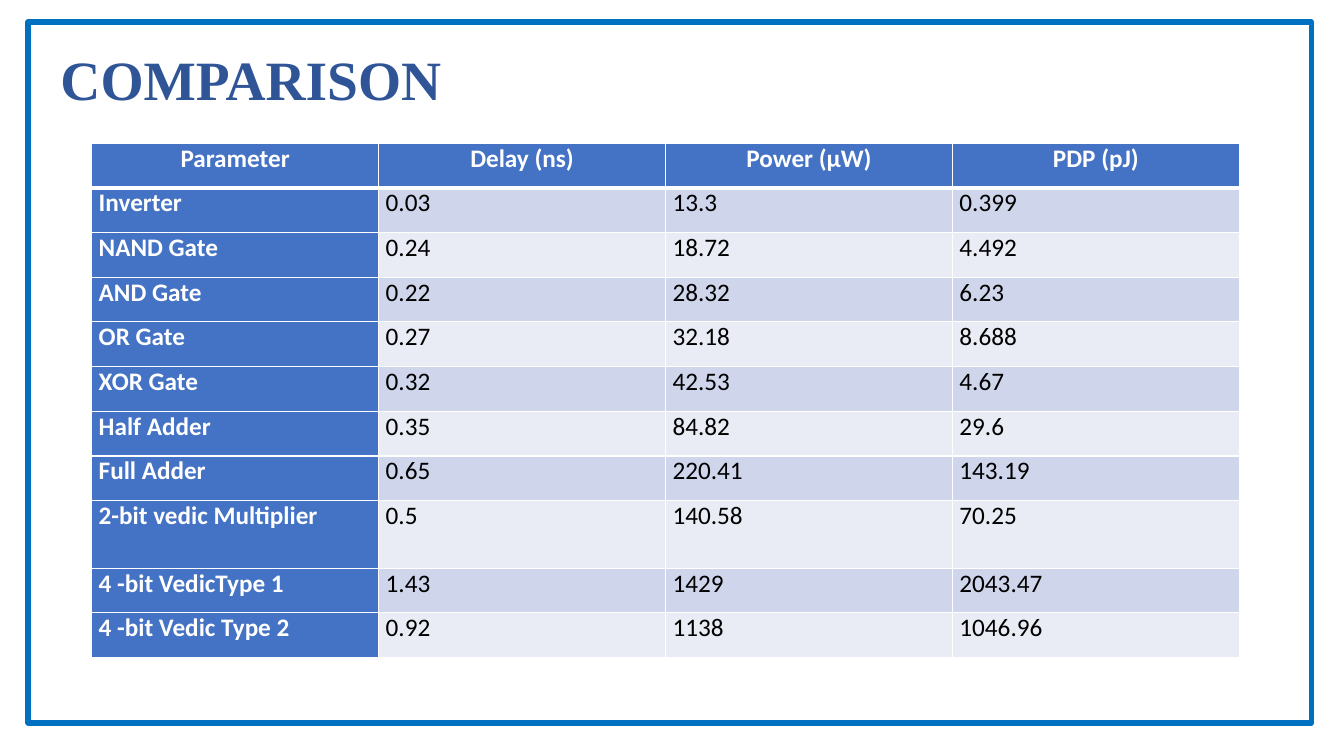
from dataclasses import dataclass

from lxml.etree import SubElement
from pptx import Presentation
from pptx.dml.color import RGBColor
from pptx.enum.shapes import MSO_SHAPE
from pptx.enum.text import MSO_ANCHOR, MSO_AUTO_SIZE, PP_ALIGN
from pptx.oxml.ns import qn
from pptx.util import Pt

PX = 3048  # EMU per px, 300 px to the inch

COLORS = {
    "title": "2F5597", "frame": "0070C0", "head": "4472C4", "odd": "CFD5EA",
    "even": "E9EBF5", "white": "FFFFFF", "black": "000000",
}
TITLE_FONT = {"name": "Times New Roman", "size": Pt(39.6), "bold": True}
HEAD_FONT = {"name": "Calibri", "size": Pt(18), "bold": True}
VALUE_FONT = {**HEAD_FONT, "bold": False}

COL_W, ROW_H, TALL_ROW_H = 854, 133, 201
CELL_INSETS = {"margin_left": 21 * PX, "margin_right": 21 * PX,
               "margin_top": 0, "margin_bottom": 0}


@dataclass
class Box:
    left: int
    top: int
    width: int
    height: int

    def emu(self) -> list[int]:
        return [v * PX for v in (self.left, self.top, self.width, self.height)]


@dataclass
class Row:
    name: str
    delay: str
    power: str
    pdp: str
    height: int = ROW_H

    def texts(self) -> list[str]:
        return [self.name, self.delay, self.power, self.pdp]


ROWS = [
    Row("Parameter", "Delay (ns)", "Power (μW)", "PDP (pJ)"),
    Row("Inverter", "0.03", "13.3", "0.399"),
    Row("NAND Gate", "0.24", "18.72", "4.492"),
    Row("AND Gate", "0.22", "28.32", "6.23"),
    Row("OR Gate", "0.27", "32.18", "8.688"),
    Row("XOR Gate", "0.32", "42.53", "4.67"),
    Row("Half Adder", "0.35", "84.82", "29.6"),
    Row("Full Adder", "0.65", "220.41", "143.19"),
    Row("2-bit vedic Multiplier", "0.5", "140.58", "70.25", TALL_ROW_H),
    Row("4 -bit VedicType 1", "1.43", "1429", "2043.47"),
    Row("4 -bit Vedic Type 2", "0.92", "1138", "1046.96"),
]


def rgb(name: str) -> RGBColor:
    return RGBColor.from_string(COLORS[name])


def set_all(obj, values: dict) -> None:
    for key, value in values.items():
        setattr(obj, key, value)


def write(p, text: str, font: dict, color: str, align) -> None:
    p.alignment = align
    r = p.add_run()
    r.text = text
    set_all(r.font, font)
    r.font.color.rgb = rgb(color)


def add_borders(cell, widths: dict[str, int]) -> None:
    tc_pr = cell._tc.get_or_add_tcPr()
    for side, width in widths.items():
        ln = SubElement(tc_pr, qn(f"a:ln{side}"), w=str(Pt(width)))
        fill = SubElement(ln, qn("a:solidFill"))
        SubElement(fill, qn("a:srgbClr"), val=COLORS["white"])


def add_title(s, box: Box, text: str) -> None:
    sp = s.shapes.title
    sp.left, sp.top, sp.width, sp.height = box.emu()
    tf = sp.text_frame
    set_all(tf, {"auto_size": MSO_AUTO_SIZE.NONE, "word_wrap": True,
                 "vertical_anchor": MSO_ANCHOR.MIDDLE})
    write(tf.paragraphs[0], text, TITLE_FONT, "title", PP_ALIGN.LEFT)


def add_frame(s, box: Box) -> None:
    sp = s.shapes.add_shape(MSO_SHAPE.RECTANGLE, *box.emu())
    sp.shadow.inherit = False
    sp.fill.background()
    sp.line.color.rgb = rgb("frame")
    sp.line.width = Pt(4)


def add_comparison(s, left: int, top: int, rows: list[Row]) -> None:
    cols = len(rows[0].texts())
    box = Box(left, top, cols * COL_W, sum(row.height for row in rows))
    table = s.shapes.add_table(len(rows), cols, *box.emu()).table
    table.first_col = True
    for col in table.columns:
        col.width = COL_W * PX
    for i, row in enumerate(rows):
        table.rows[i].height = row.height * PX
        for j, text in enumerate(row.texts()):
            cell = table.cell(i, j)
            set_all(cell, CELL_INSETS)
            # The rule under the header row is thicker
            add_borders(cell, {"L": 1, "R": 1, "T": 3 if i == 1 else 1,
                               "B": 3 if i == 0 else 1})
            is_head = i == 0 or j == 0
            cell.fill.solid()
            cell.fill.fore_color.rgb = rgb(
                "head" if is_head else "odd" if i % 2 else "even")
            write(cell.text_frame.paragraphs[0], text,
                  HEAD_FONT if is_head else VALUE_FONT,
                  "white" if is_head else "black",
                  PP_ALIGN.LEFT if i else PP_ALIGN.CENTER)


def main() -> None:
    prs = Presentation()
    prs.slide_width, prs.slide_height = 4000 * PX, 2250 * PX
    s = prs.slides.add_slide(prs.slide_layouts[5])

    # Title, slide frame and table
    add_title(s, Box(150, 114, 3450, 237), "COMPARISON")
    add_frame(s, Box(84, 66, 3819, 2085))
    add_comparison(s, 273, 426, ROWS)

    prs.save("out.pptx")


if __name__ == "__main__":
    main()
